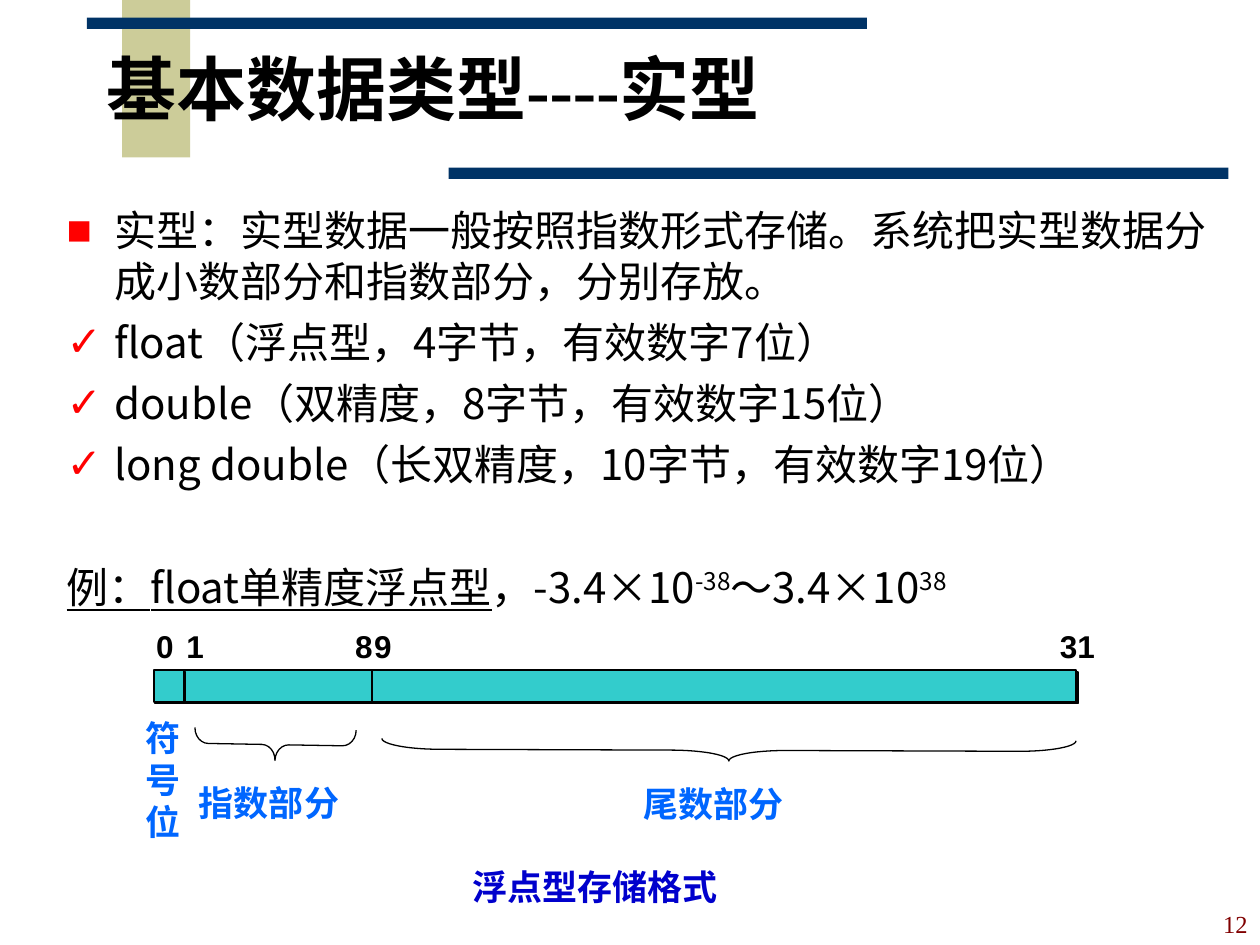
from dataclasses import dataclass

from lxml import etree
from pptx import Presentation
from pptx import util as u
from pptx.dml.color import RGBColor
from pptx.enum import shapes, text
from pptx.oxml import ns

HUES = {"khaki": "CCCC99", "navy": "003366", "teal": "33CCCC", "black": "000000",
        "red": "FF0000", "label": "0066FF", "blue": "0000CC", "maroon": "800000"}
CJK = "Noto Sans CJK SC"
SHAPE, ALIGN, ANCHOR = shapes.MSO_SHAPE, text.PP_ALIGN, text.MSO_ANCHOR


@dataclass
class Run:
    words: str
    size: float
    font: str = "Arial"
    hue: str = "black"
    bold: bool = False
    line: bool = False
    base: int = 0


@dataclass
class Label:
    run: Run
    box: tuple
    align: ALIGN = ALIGN.LEFT
    anchor: ANCHOR = ANCHOR.MIDDLE
    wrap: bool = True
    lead: object = None


@dataclass
class Brace:
    kind: SHAPE
    box: tuple
    turn: float
    curl: float


def color(name: str) -> RGBColor:
    return RGBColor.from_string(HUES[name])


def child(node, tag: str, **attrs):
    return etree.SubElement(node, ns.qn(tag), attrs)


def inches(box: tuple) -> list:
    return [u.Inches(n) for n in box]


def add_run(para, run: Run) -> None:
    item = para.add_run()
    item.text = run.words
    font = item.font
    font.size, font.name, font.bold = u.Pt(run.size), run.font, run.bold
    font.underline = run.line
    font.color.rgb = color(run.hue)
    props = item._r.get_or_add_rPr()
    child(props, "a:ea", typeface=CJK)
    if run.base:
        props.set("baseline", str(run.base * 1000))


def add_frame(slide, box: tuple, anchor: ANCHOR, wrap: bool = True):
    frame = slide.shapes.add_textbox(*inches(box)).text_frame
    frame.word_wrap, frame.vertical_anchor = wrap, anchor
    return frame


def add_label(slide, label: Label) -> None:
    frame = add_frame(slide, label.box, label.anchor, label.wrap)
    para = frame.paragraphs[0]
    para.alignment = label.align
    if label.lead:
        para.line_spacing = label.lead
    add_run(para, label.run)


def add_bar(slide, box: tuple, hue: str):
    bar = slide.shapes.add_shape(SHAPE.RECTANGLE, *inches(box))
    bar.shadow.inherit = False
    bar.fill.solid()
    bar.fill.fore_color.rgb = color(hue)
    bar.line.fill.background()
    return bar


def add_field(slide, left: float, right: float) -> None:
    field = add_bar(slide, (left, 5.32, right - left, 0.25), "teal")
    field.line.color.rgb = color("black")
    field.line.width = u.Pt(1)
    effects = field._element.spPr.find(ns.qn("a:effectLst"))
    shade = child(effects, "a:outerShdw", dist=str(u.Pt(1.4)), dir="2700000",
                  algn="ctr", rotWithShape="0")
    child(shade, "a:srgbClr", val=HUES["black"])


def add_brace(slide, brace: Brace) -> None:
    item = slide.shapes.add_shape(brace.kind, *inches(brace.box))
    item.shadow.inherit = False
    item.rotation = brace.turn
    item.adjustments[0] = brace.curl
    item.fill.background()
    item.line.color.rgb = color("black")
    item.line.width = u.Pt(0.75)


def add_body(slide, rows: list) -> None:
    frame = add_frame(slide, (0.43, 1.57, 9.33, 4.21), ANCHOR.TOP)
    for i, (mark, gap, runs) in enumerate(rows):
        para = frame.add_paragraph() if i else frame.paragraphs[0]
        para.line_spacing, para.space_before = u.Pt(29), u.Pt(gap)
        props = para._p.get_or_add_pPr()
        props.set("marL", str(u.Inches(0.38)))
        props.set("indent", str(u.Inches(-0.38)))
        if mark:
            child(child(props, "a:buClr"), "a:srgbClr", val=HUES["red"])
            child(props, "a:buFont", typeface="Arial")
            child(props, "a:buChar", char=mark)
        else:
            child(props, "a:buNone")
        for run in runs:
            add_run(para, run)


def body(words: str, **style) -> Run:
    return Run(words, 24, CJK, **style)


ROWS = [
    ("■", 0, [body("实型：实型数据一般按照指数形式存储。系统把实型数据分成小数部分和指数部分，分别存放。")]),
    ("✓", 6, [body("float（浮点型，4字节，有效数字7位）")]),
    ("✓", 6, [body("double（双精度，8字节，有效数字15位）")]),
    ("✓", 6, [body("long double（长双精度，10字节，有效数字19位）")]),
    ("", 41, [body("例：float单精度浮点型", line=True), body("，-3.4×10"),
              body("-38", base=30), body("～3.4×10"), body("38", base=30)]),
]
BARS = [((0.97, 0, 0.54, 1.25), "khaki"), ((0.69, 0.14, 6.19, 0.09), "navy"),
        ((3.56, 1.33, 6.19, 0.09), "navy")]
FIELDS = [(1.46, 2.95), (2.95, 8.54), (1.22, 1.46)]
BRACES = [Brace(SHAPE.RIGHT_BRACE, (5.7, 3.2, 0.17, 5.51), 90.2, 2.7),
          Brace(SHAPE.LEFT_BRACE, (2.06, 5.27, 0.25, 1.28), 271, 0.43)]
BITS = [("0", 1.14, 0.31), ("1", 1.38, 0.58), ("8", 2.72, 0.32), ("9", 2.87, 0.31)]
PARTS = [("尾数部分", 5.01, 6.16), ("指数部分", 1.48, 6.15)]


def part(words: str) -> Run:
    return Run(words, 20, hue="label", bold=True)


def bit(words: str) -> Run:
    return Run(words, 18, bold=True)


LABELS = [
    *[Label(part(t), (x, y, 1.31, 0.44), ALIGN.CENTER, wrap=False) for t, x, y in PARTS],
    *[Label(bit(t), (x, 4.93, w, 0.4)) for t, x, w in BITS],
    Label(bit("31"), (8.31, 4.93, 0.48, 0.4), ALIGN.CENTER, wrap=False),
    Label(Run("浮点型存储格式", 20, "Times New Roman", "blue", True),
          (2.56, 6.82, 4.33, 0.44), ALIGN.CENTER, ANCHOR.TOP),
    Label(part("符号位"), (1.06, 5.64, 0.55, 1.1), anchor=ANCHOR.TOP, lead=u.Pt(24)),
    Label(Run("基本数据类型----实型", 40, "Times New Roman", bold=True),
          (0.75, 0.25, 8.82, 1), lead=0.85),
    Label(Run("12", 14, "Times New Roman", "maroon"),
          (6.63, 7, 3.37, 0.5), ALIGN.RIGHT, ANCHOR.BOTTOM),
]


def main() -> None:
    deck = Presentation()
    deck.slide_width, deck.slide_height = u.Inches(10), u.Inches(7.5)
    slide = deck.slides.add_slide(deck.slide_layouts[6])
    # Frame bars and body text
    for box, hue in BARS:
        add_bar(slide, box, hue)
    add_body(slide, ROWS)
    # Storage layout: braces, bit fields
    for brace in BRACES:
        add_brace(slide, brace)
    for left, right in FIELDS:
        add_field(slide, left, right)
    # Labels, title and page number
    for label in LABELS:
        add_label(slide, label)
    deck.save("out.pptx")


if __name__ == "__main__":
    main()
